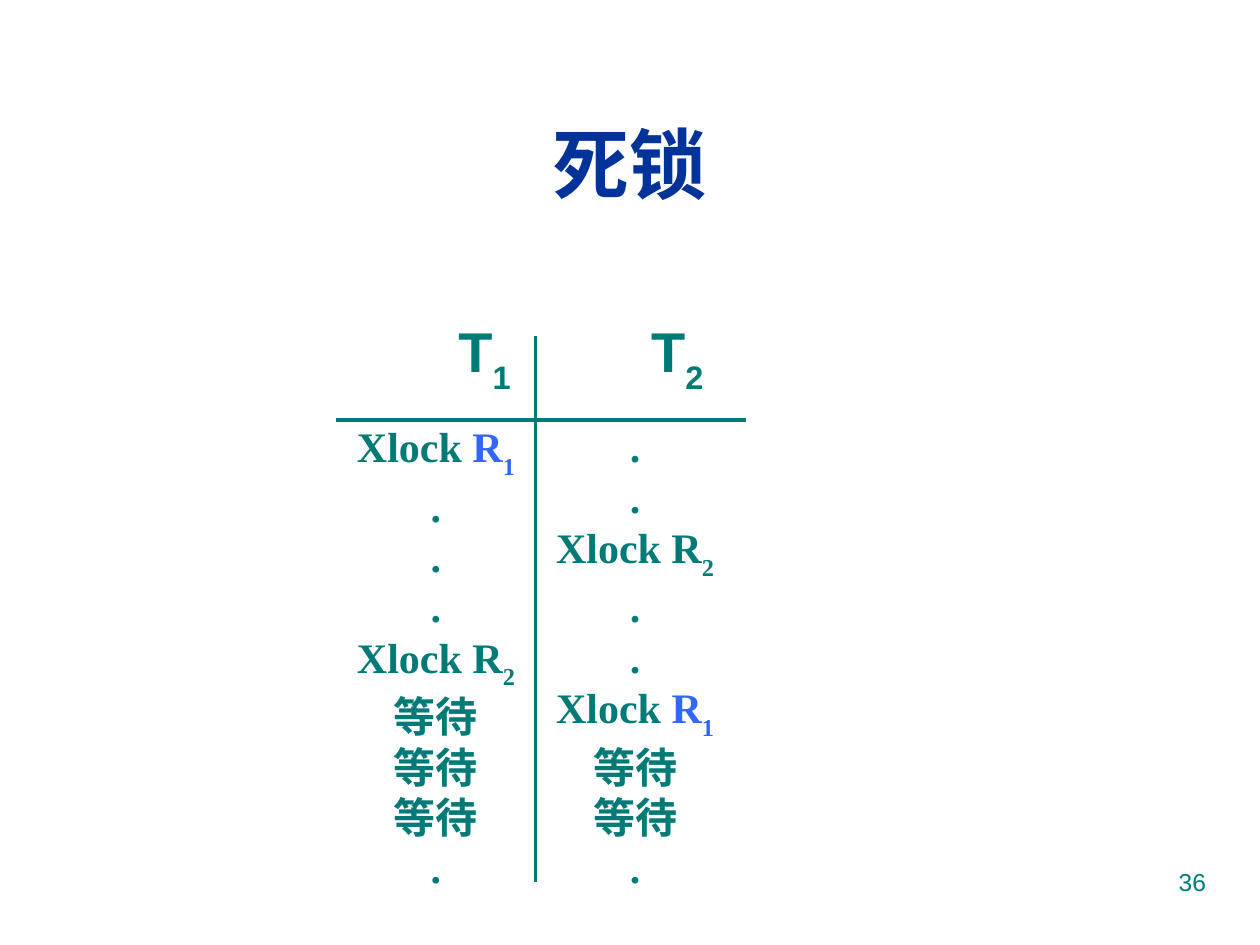
from dataclasses import dataclass
from typing import Any

from lxml.etree import SubElement
from pptx import Presentation
from pptx.dml.color import RGBColor
from pptx.enum.shapes import MSO_CONNECTOR
from pptx.enum.text import MSO_ANCHOR, MSO_AUTO_SIZE, PP_ALIGN
from pptx.oxml.ns import qn
from pptx.util import Inches, Pt

TEAL = "007A77"
BLUE = "3366FF"
NAVY = "003399"


@dataclass(frozen=True)
class Piece:
    text: str
    color: str = TEAL
    subscript: bool = False


@dataclass(frozen=True)
class Style:
    font: str
    size: float
    bold: bool = True


@dataclass(frozen=True)
class Heading:
    placeholder: int
    left: float
    number: str


@dataclass(frozen=True)
class Schedule:
    left: float
    steps: tuple[tuple[Piece, ...], ...]


@dataclass(frozen=True)
class Rule:
    start: tuple[float, float]
    end: tuple[float, float]


TITLE = Style("Arial", 44)
HEADING = Style("Arial", 32)
STEP = Style("Times New Roman", 24)
PAGE_NUMBER = Style("Arial", 14, False)

DOT = (Piece("."),)
WAIT = (Piece("等待"),)
LOCK_R1 = (Piece("Xlock "), Piece("R", BLUE), Piece("1", BLUE, True))
LOCK_R2 = (Piece("Xlock R"), Piece("2", subscript=True))

HEADINGS = (Heading(1, 3.08, "1"), Heading(2, 4.61, "2"))
SCHEDULES = (
    Schedule(2.67, (LOCK_R1, DOT, DOT, DOT, LOCK_R2, WAIT, WAIT, WAIT, DOT)),
    Schedule(4.25, (DOT, DOT, LOCK_R2, DOT, DOT, LOCK_R1, WAIT, WAIT, DOT)),
)
RULES = (
    Rule((2.67, 3.33), (5.92, 3.33)),
    Rule((4.25, 2.67), (4.25, 7)),
)


def rgb(color: str) -> RGBColor:
    return RGBColor.from_string(color)


def apply_format(target: Any, values: dict[str, Any]) -> None:
    for name, value in values.items():
        setattr(target, name, value)


def place(shape: Any, left: float, top: float, width: float, height: float) -> None:
    apply_format(shape, {
        "left": Inches(left), "top": Inches(top),
        "width": Inches(width), "height": Inches(height),
    })


def write_pieces(paragraph: Any, pieces: tuple[Piece, ...], style: Style,
                 alignment: PP_ALIGN) -> None:
    apply_format(paragraph, {"alignment": alignment, "space_before": Pt(0)})
    for piece in pieces:
        run = paragraph.add_run()
        run.text = piece.text
        apply_format(run.font, {
            "name": style.font, "size": Pt(style.size), "bold": style.bold,
        })
        run.font.color.rgb = rgb(piece.color)
        if piece.subscript:
            run._r.get_or_add_rPr().set("baseline", "-30000")


def add_title(slide: Any) -> None:
    title = slide.shapes.title
    place(title, 0.33, 0.67, 9.34, 1.25)
    apply_format(title.text_frame, {
        "vertical_anchor": MSO_ANCHOR.MIDDLE, "auto_size": MSO_AUTO_SIZE.NONE,
    })
    write_pieces(title.text_frame.paragraphs[0], (Piece("死锁", NAVY),),
                 TITLE, PP_ALIGN.CENTER)


def add_heading(slide: Any, heading: Heading) -> None:
    transaction = slide.placeholders[heading.placeholder]
    place(transaction, heading.left, 2.46, 1.53, 0.8)
    transaction.text_frame.auto_size = MSO_AUTO_SIZE.NONE
    paragraph = transaction.text_frame.paragraphs[0]
    properties = paragraph._p.get_or_add_pPr()
    properties.set("marL", "0")
    properties.set("indent", "0")
    SubElement(properties, qn("a:buNone"))
    write_pieces(paragraph, (Piece("T"), Piece(heading.number, subscript=True)),
                 HEADING, PP_ALIGN.CENTER)


def add_rule(slide: Any, rule: Rule) -> None:
    ends = [Inches(value) for value in (*rule.start, *rule.end)]
    connector = slide.shapes.add_connector(MSO_CONNECTOR.STRAIGHT, *ends)
    connector.line.color.rgb = rgb(TEAL)
    connector.line.width = Pt(2.25)
    SubElement(connector._element.spPr, qn("a:effectLst"))


def add_schedule(slide: Any, schedule: Schedule) -> None:
    column = slide.shapes.add_textbox(
        Inches(schedule.left), Inches(3.42), Inches(1.58), Inches(3.58))
    frame = column.text_frame
    apply_format(frame, {"vertical_anchor": MSO_ANCHOR.MIDDLE, "word_wrap": False})
    for index, step in enumerate(schedule.steps):
        paragraph = frame.add_paragraph() if index else frame.paragraphs[0]
        write_pieces(paragraph, step, STEP, PP_ALIGN.CENTER)


def add_page_number(slide: Any) -> None:
    page_number = slide.shapes.add_textbox(
        Inches(7.17), Inches(6.83), Inches(2.5), Inches(0.52))
    page_number.text_frame.word_wrap = True
    write_pieces(page_number.text_frame.paragraphs[0], (Piece("36"),),
                 PAGE_NUMBER, PP_ALIGN.RIGHT)


def main() -> None:
    presentation = Presentation()
    apply_format(presentation, {
        "slide_width": Inches(10), "slide_height": Inches(7.5),
    })
    slide = presentation.slides.add_slide(presentation.slide_layouts[3])
    add_title(slide)
    for heading in HEADINGS:
        add_heading(slide, heading)
    for rule in RULES:
        add_rule(slide, rule)
    for schedule in SCHEDULES:
        add_schedule(slide, schedule)
    add_page_number(slide)
    presentation.save("out.pptx")


if __name__ == "__main__":
    main()
